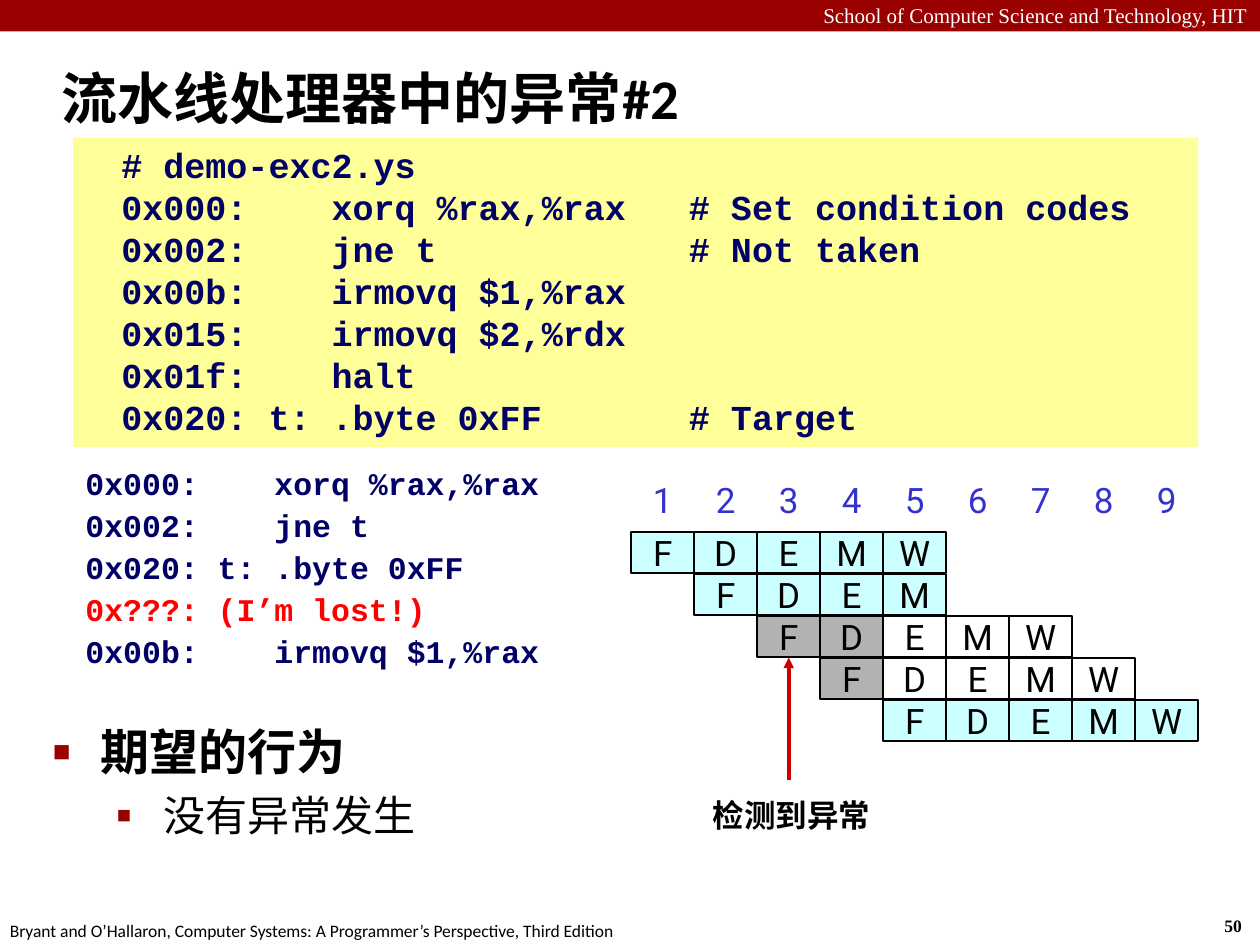
from dataclasses import dataclass

from lxml import etree
from pptx import Presentation
from pptx.dml.color import RGBColor
from pptx.enum.shapes import MSO_CONNECTOR, MSO_SHAPE
from pptx.enum.text import MSO_ANCHOR, MSO_AUTO_SIZE, PP_ALIGN
from pptx.oxml.ns import qn
from pptx.util import Inches, Pt

RECTANGLE = MSO_SHAPE.RECTANGLE
STRAIGHT = MSO_CONNECTOR.STRAIGHT
TOP, MIDDLE = MSO_ANCHOR.TOP, MSO_ANCHOR.MIDDLE
LEFT, CENTER, RIGHT = PP_ALIGN.LEFT, PP_ALIGN.CENTER, PP_ALIGN.RIGHT
NO_FIT = MSO_AUTO_SIZE.NONE

COLORS = {
    "band": "990000", "paper": "FFFFFF", "ink": "000000", "note": "FFFF99",
    "code": "000066", "lost": "FF0000", "cycle": "3333CC", "arrow": "CC0000",
    "active": "CCFFFF", "faulty": "B2B2B2",
}


@dataclass
class Style:
    size: float
    name: str = "Calibri"
    color: str = "ink"
    bold: bool = False


@dataclass
class Box:
    left: float
    top: float
    width: float
    height: float


@dataclass
class Trace:
    code: str
    stages: str
    fills: list[str]
    color: str = "code"


@dataclass
class Bullet:
    text: str
    level: int
    style: Style
    mark: str
    percent: int
    margin: float
    space_before: float


HEADER = Style(12, "Times New Roman", "paper")
PAGE_NUMBER = Style(10, "Times New Roman", bold=True)
LISTING = Style(20, "Courier New", "code", True)
STAGE = Style(20, "Roboto")
CYCLE = Style(20, "Roboto", "cycle")

PROGRAM = [
    "  # demo-exc2.ys",
    "  0x000:    xorq %rax,%rax   # Set condition codes",
    "  0x002:    jne t            # Not taken",
    "  0x00b:    irmovq $1,%rax",
    "  0x015:    irmovq $2,%rdx",
    "  0x01f:    halt",
    "  0x020: t: .byte 0xFF       # Target",
]
TRACES = [
    Trace("0x000:    xorq %rax,%rax", "FDEMW", ["active"] * 5),
    Trace("0x002:    jne t", "FDEM", ["active"] * 4),
    Trace("0x020: t: .byte 0xFF", "FDEMW", ["faulty"] * 2 + ["paper"] * 3),
    Trace("0x???: (I’m lost!)", "FDEMW", ["faulty"] + ["paper"] * 4, "lost"),
    Trace("0x00b:    irmovq $1,%rax", "FDEMW", ["active"] * 5),
]
BULLETS = [
    Bullet("期望的行为", 0, Style(28, bold=True), "■", 60, 0.38, 0),
    Bullet("没有异常发生", 1, Style(24), "▪", 110, 0.88, 4.8),
]
CYCLES = 9
GRID_LEFT, GRID_TOP, CYCLE_TOP = 5.01, 4.22, 3.8
CODE_LEFT, CODE_TOP = 0.58, 3.67
COLUMN, ROW, CELL_HEIGHT = 0.5, 1 / 3, 0.33


def rgb(key: str) -> RGBColor:
    return RGBColor.from_string(COLORS[key])


def place(box: Box) -> list[int]:
    return [Inches(v) for v in (box.left, box.top, box.width, box.height)]


def add_run(paragraph, text: str, style: Style) -> None:
    run = paragraph.add_run()
    run.text = text
    formats = {"size": Pt(style.size), "name": style.name, "bold": style.bold}
    for attribute, value in formats.items():
        setattr(run.font, attribute, value)
    run.font.color.rgb = rgb(style.color)


def write(frame, lines: list[str], style: Style, align=LEFT, anchor=TOP,
          wrap: bool = True, inset: float = 0.1) -> None:
    formats = {
        "word_wrap": wrap, "auto_size": NO_FIT, "vertical_anchor": anchor,
        "margin_left": Inches(inset), "margin_right": Inches(inset),
        "margin_top": Inches(0.05), "margin_bottom": Inches(0.05),
    }
    for attribute, value in formats.items():
        setattr(frame, attribute, value)
    for index, line in enumerate(lines):
        paragraph = frame.add_paragraph() if index else frame.paragraphs[0]
        paragraph.alignment = align
        add_run(paragraph, line, style)


def add_rectangle(slide, box: Box, fill: str, outlined: bool = False):
    shape = slide.shapes.add_shape(RECTANGLE, *place(box))
    shape.shadow.inherit = False
    shape.fill.solid()
    shape.fill.fore_color.rgb = rgb(fill)
    if outlined:
        shape.line.color.rgb = rgb("ink")
        shape.line.width = Pt(1)
    else:
        shape.line.fill.background()
    return shape


def add_label(slide, box: Box, text: str, style: Style, **layout) -> None:
    write(slide.shapes.add_textbox(*place(box)).text_frame, [text], style, **layout)


def add_cell(slide, column: int, top: float, text: str, style: Style,
             fill: str, outlined: bool) -> None:
    box = Box(GRID_LEFT + column * COLUMN, top, COLUMN, CELL_HEIGHT)
    cell = add_rectangle(slide, box, fill, outlined)
    write(cell.text_frame, [text], style, CENTER, MIDDLE, wrap=False)


def add_bullet(paragraph, bullet: Bullet) -> None:
    paragraph.level = bullet.level
    paragraph.space_before = Pt(bullet.space_before)
    properties = paragraph._p.get_or_add_pPr()
    properties.set("marL", str(Inches(bullet.margin)))
    properties.set("indent", str(-Inches(0.38)))
    color = etree.SubElement(properties, qn("a:buClr"))
    etree.SubElement(color, qn("a:srgbClr"), val=COLORS["band"])
    etree.SubElement(properties, qn("a:buSzPct"), val=str(bullet.percent * 1000))
    etree.SubElement(properties, qn("a:buChar"), char=bullet.mark)
    add_run(paragraph, bullet.text, bullet.style)


def add_arrow(slide, x: float, start: float, end: float) -> None:
    ends = [Inches(v) for v in (x, start, x, end)]
    arrow = slide.shapes.add_connector(STRAIGHT, *ends)
    arrow.line.color.rgb = rgb("arrow")
    arrow.line.width = Pt(2)
    etree.SubElement(arrow.line._get_or_add_ln(), qn("a:tailEnd"), type="triangle")
    etree.SubElement(arrow._element.spPr, qn("a:effectLst"))


def add_pipeline(slide) -> None:
    for cycle in range(CYCLES):
        add_cell(slide, cycle, CYCLE_TOP, str(cycle + 1), CYCLE, "paper", False)
    for row, trace in enumerate(TRACES):
        code_box = Box(CODE_LEFT, CODE_TOP + row * ROW, 2.84, CELL_HEIGHT)
        code = add_rectangle(slide, code_box, "paper")
        style = Style(18, "Courier New", trace.color, True)
        write(code.text_frame, [trace.code], style, anchor=MIDDLE, wrap=False)
        for step, (stage, fill) in enumerate(zip(trace.stages, trace.fills)):
            add_cell(slide, row + step, GRID_TOP + row * ROW, stage, STAGE, fill, True)
    add_arrow(slide, 6.26, 6.19, 5.22)
    add_label(slide, Box(5.56, 6.27, 1.69, 0.4), "检测到异常", Style(18, bold=True))


def main() -> None:
    deck = Presentation()
    deck.slide_width, deck.slide_height = Inches(10), Inches(7.5)
    slide = deck.slides.add_slide(deck.slide_layouts[1])
    title, body = slide.placeholders
    title.left, title.top, title.width, title.height = place(Box(0.39, 0.36, 9.61, 0.83))
    write(title.text_frame, ["流水线处理器中的异常#2"], Style(32, bold=True), anchor=MIDDLE)
    body.left, body.top, body.width, body.height = place(Box(0.32, 5.68, 9.08, 1.29))
    frame = body.text_frame
    frame.auto_size = NO_FIT
    for index, bullet in enumerate(BULLETS):
        add_bullet(frame.add_paragraph() if index else frame.paragraphs[0], bullet)

    add_rectangle(slide, Box(0, 0, 10, 0.25), "band")
    add_label(slide, Box(0, -0.03, 10, 0.3),
              "School of Computer Science and Technology, HIT", HEADER, align=RIGHT)
    add_label(slide, Box(9.62, 7.21, 0.37, 0.27), "50", PAGE_NUMBER, wrap=False)
    add_label(slide, Box(-0.02, 7.25, 5.08, 0.27),
              "Bryant and O’Hallaron, Computer Systems: A Programmer’s Perspective, "
              "Third Edition", Style(10), wrap=False)
    note = add_rectangle(slide, Box(0.58, 1.09, 8.93, 2.46), "note")
    write(note.text_frame, PROGRAM, LISTING, inset=0.05)
    add_pipeline(slide)
    deck.save("out.pptx")


if __name__ == "__main__":
    main()
